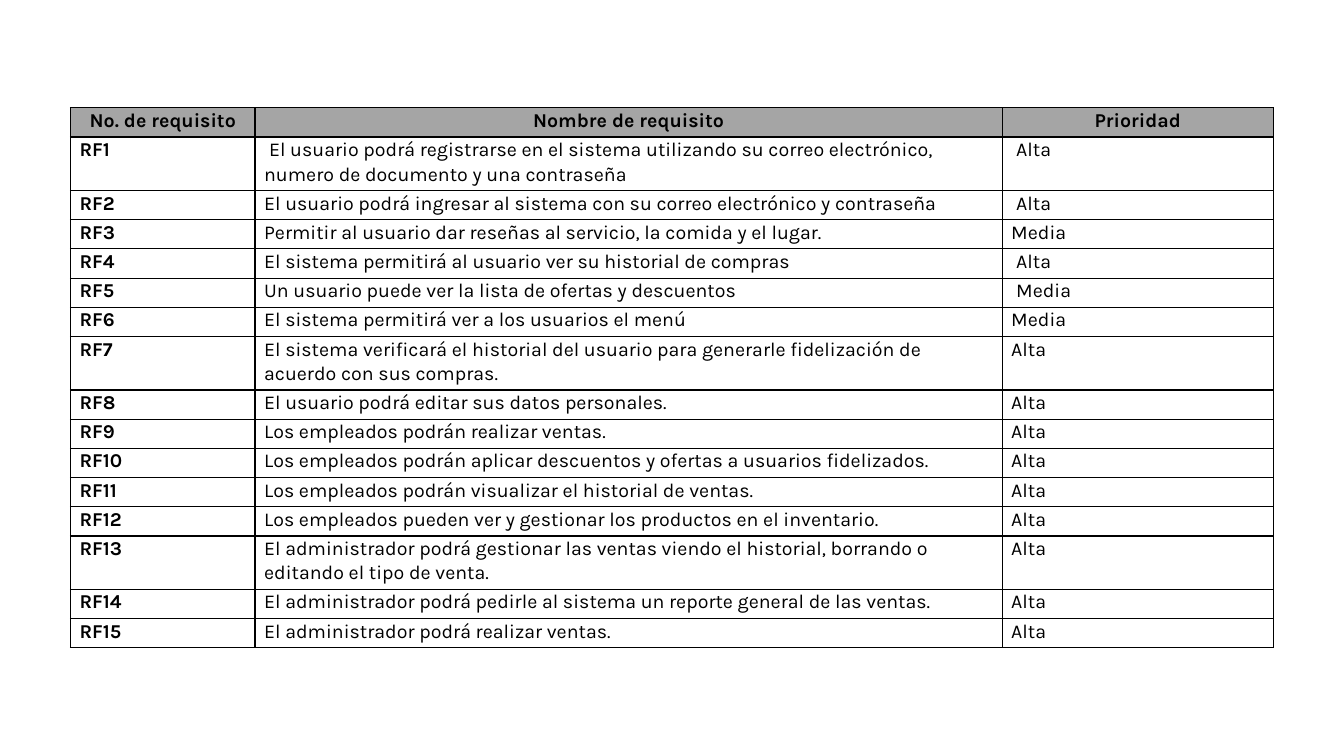
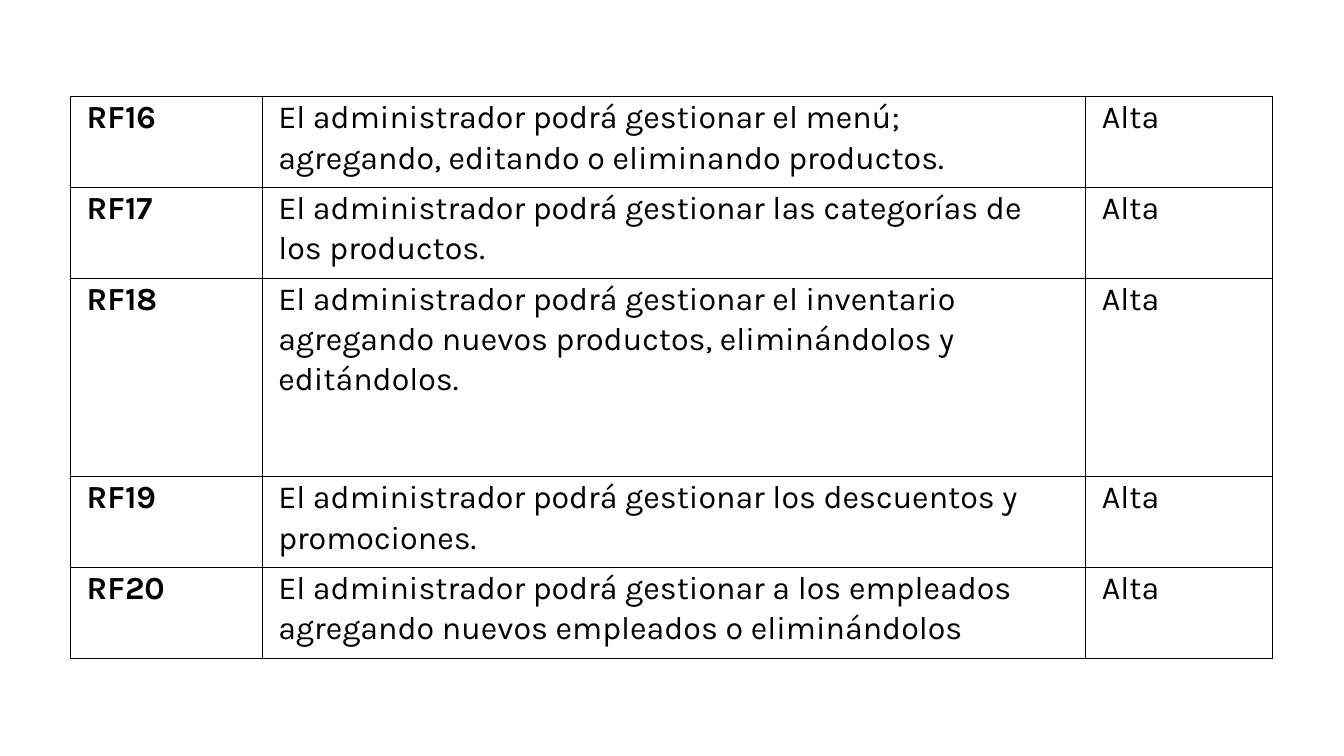
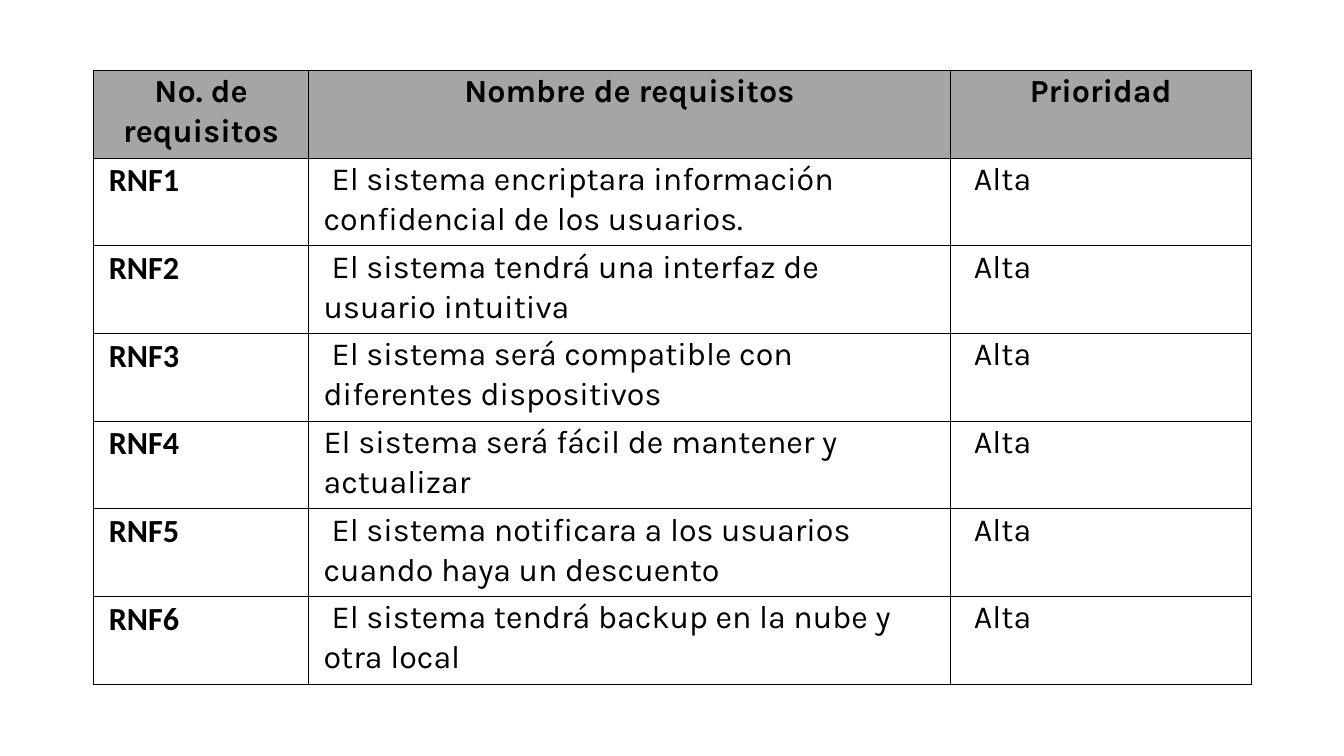
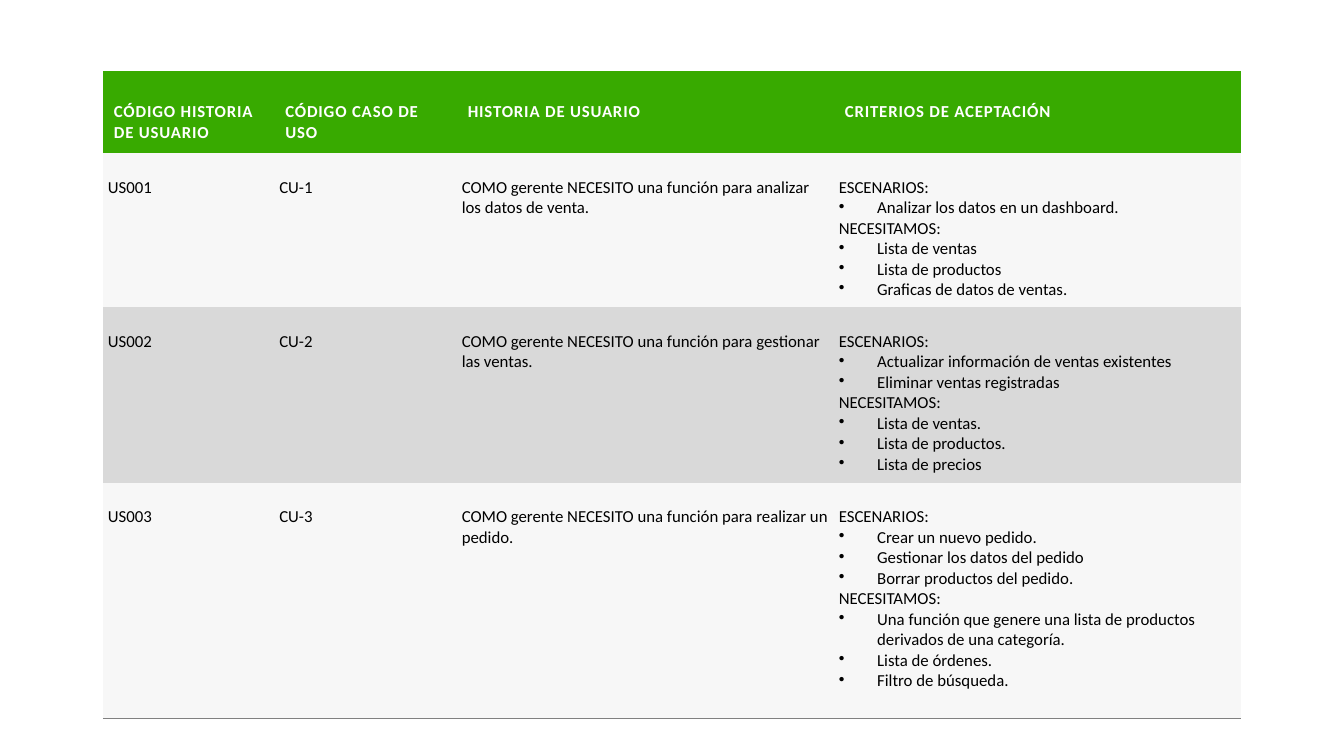
from pptx import Presentation
from pptx.dml.color import RGBColor
from pptx.enum import text
from pptx.oxml import parse_xml
from pptx.oxml import ns
from pptx.util import Inches, Pt

COLORS = {
    "black": "000000",
    "white": "FFFFFF",
    "header": "A5A5A5",
    "green": "38AA00",
    "light": "F7F7F7",
    "band": "D9D9D9",
    "rule": "808080",
}
BODY_FONT = "Karla"
STORY_FONT = "Calibri"
PLAIN_TABLE = "{2D5ABB26-0587-4C30-8999-92F81FD0307C}"
SPACE_WIDTH = 0.0035  # inches of first-line indent per point of text size

# Requirements: a leading space marks an indented first line
FUNCTIONAL = [
    (" El usuario podrá registrarse en el sistema utilizando su correo electrónico, "
     "numero de documento y una contraseña", " Alta"),
    ("El usuario podrá ingresar al sistema con su correo electrónico y contraseña", " Alta"),
    ("Permitir al usuario dar reseñas al servicio, la comida y el lugar.", "Media"),
    ("El sistema permitirá al usuario ver su historial de compras", " Alta"),
    ("Un usuario puede ver la lista de ofertas y descuentos", " Media"),
    ("El sistema permitirá ver a los usuarios el menú", "Media"),
    ("El sistema verificará el historial del usuario para generarle fidelización de "
     "acuerdo con sus compras.", "Alta"),
    ("El usuario podrá editar sus datos personales.", "Alta"),
    ("Los empleados podrán realizar ventas.", "Alta"),
    ("Los empleados podrán aplicar descuentos y ofertas a usuarios fidelizados.", "Alta"),
    ("Los empleados podrán visualizar el historial de ventas.", "Alta"),
    ("Los empleados pueden ver y gestionar los productos en el inventario.", "Alta"),
    ("El administrador podrá gestionar las ventas viendo el historial, borrando o "
     "editando el tipo de venta.", "Alta"),
    ("El administrador podrá pedirle al sistema un reporte general de las ventas.", "Alta"),
    ("El administrador podrá realizar ventas.", "Alta"),
]
ADMINISTRATION = [
    ("El administrador podrá gestionar el menú; agregando, editando o eliminando "
     "productos.", "Alta"),
    ("El administrador podrá gestionar las categorías de los productos.", "Alta"),
    ("El administrador podrá gestionar el inventario agregando nuevos productos, "
     "eliminándolos y editándolos.", "Alta"),
    ("El administrador podrá gestionar los descuentos y promociones.", "Alta"),
    ("El administrador podrá gestionar a los empleados agregando nuevos empleados o "
     "eliminándolos", "Alta"),
]
NON_FUNCTIONAL = [
    (" El sistema encriptara información confidencial de los usuarios.", " Alta"),
    (" El sistema tendrá una interfaz de usuario intuitiva", " Alta"),
    (" El sistema será compatible con diferentes dispositivos", " Alta"),
    ("El sistema será fácil de mantener y actualizar", " Alta"),
    (" El sistema notificara a los usuarios cuando haya un descuento", " Alta"),
    (" El sistema tendrá backup en la nube y otra local", " Alta"),
]

# User stories: need, scenarios, required items
STORY_HEADERS = ["CÓDIGO HISTORIA DE USUARIO", "CÓDIGO CASO DE USO",
                 "HISTORIA DE USUARIO", "CRITERIOS DE ACEPTACIÓN"]
STORIES = [
    ("analizar los datos de venta.",
     ["Analizar los datos en un dashboard."],
     ["Lista de ventas", "Lista de productos", "Graficas de datos de ventas."]),
    ("gestionar las ventas.",
     ["Actualizar información de ventas existentes", "Eliminar ventas registradas"],
     ["Lista de ventas.", "Lista de productos.", "Lista de precios"]),
    ("realizar un pedido.",
     ["Crear un nuevo pedido.", "Gestionar los datos del pedido",
      "Borrar productos del pedido."],
     ["Una función que genere una lista de productos derivados de una categoría.",
      "Lista de órdenes.", "Filtro de búsqueda."]),
]


def add_table(prs, left, top, cols, rows):
    """Add a blank slide with an unstyled table and return the table."""
    slide = prs.slides.add_slide(prs.slide_layouts[6])
    frame = slide.shapes.add_table(len(rows), len(cols), Inches(left), Inches(top),
                                   Inches(sum(cols)), Inches(sum(rows)))
    for style in frame.element.iter(ns.qn("a:tableStyleId")):
        style.text = PLAIN_TABLE
    table = frame.table
    table.first_row = table.horz_banding = False
    for col, width in zip(table.columns, cols):
        col.width = Inches(width)
    for row, height in zip(table.rows, rows):
        row.height = Inches(height)
    return table


def style_cell(cell, margins, fill=None, borders="", line="black"):
    """Set margins, the borders on the given sides (L, R, T, B) and the fill."""
    (cell.margin_left, cell.margin_top,
     cell.margin_right, cell.margin_bottom) = map(Inches, margins)
    tc_pr = cell._tc.get_or_add_tcPr()
    for side in borders:
        tc_pr.append(parse_xml(
            f'<a:ln{side} {ns.nsdecls("a")} w="12700"><a:solidFill>'
            f'<a:srgbClr val="{COLORS[line]}"/></a:solidFill></a:ln{side}>'))
    if fill:
        cell.fill.solid()
        cell.fill.fore_color.rgb = RGBColor.from_string(COLORS[fill])
    else:
        cell.fill.background()


def style_paragraph(p, size, font, bold=False, color="black"):
    p.font.size = Pt(size)
    p.font.name = font
    p.font.bold = bold
    p.font.color.rgb = RGBColor.from_string(COLORS[color])


def add_bullet(p, indent=0.38):
    p_pr = p._p.get_or_add_pPr()
    p_pr.set("marL", str(Inches(indent)))
    p_pr.set("indent", str(-Inches(indent)))
    p_pr.insert_element_before(
        parse_xml(f'<a:buChar {ns.nsdecls("a")} char="•"/>'),
        "a:tabLst", "a:defRPr", "a:extLst")


def requirement_slide(prs, left, top, cols, rows, prefix, items, size, margin,
                      first=1, headers=None, code_font=BODY_FONT):
    """A bordered table of numbered requirements, with an optional grey header."""
    lines = [headers] if headers else []
    lines += [(f"{prefix}{n}", *item) for n, item in enumerate(items, first)]
    table = add_table(prs, left, top, cols, rows)
    for i, line in enumerate(lines):
        header = line is headers
        for j, words in enumerate(line):
            cell = table.cell(i, j)
            style_cell(cell, (margin, 0, margin, 0), "header" if header else None, "LRTB")
            p = cell.text_frame.paragraphs[0]
            p.text = words.strip()
            p.line_spacing = 1.07
            p.space_after = Pt(8)
            if header:
                p.alignment = text.PP_ALIGN.CENTER
            if words.startswith(" "):
                p._p.get_or_add_pPr().set("indent", str(Inches(SPACE_WIDTH * size)))
            font = code_font if j == 0 and not header else BODY_FONT
            style_paragraph(p, size, font, bold=header or j == 0)


def story_slide(prs):
    """The user stories, with banded rows and bulleted acceptance criteria."""
    table = add_table(prs, 1.02, 0.7, [1.7, 1.81, 3.74, 4.04], [0.82, 1.53, 1.74, 2.34])
    for j, words in enumerate(STORY_HEADERS):
        cell = table.cell(0, j)
        style_cell(cell, (0.11, 0.31, 0.11, 0.1), "green")
        p = cell.text_frame.paragraphs[0]
        p.text = words
        style_paragraph(p, 12, STORY_FONT, bold=True, color="white")
        p._p.pPr.find(ns.qn("a:defRPr")).set("spc", "60")

    for i, (need, scenarios, items) in enumerate(STORIES, 1):
        criteria = ["ESCENARIOS:", *scenarios, "NECESITAMOS:", *items]
        columns = [[f"US{i:03}"], [f"CU-{i}"],
                   [f"COMO gerente NECESITO una función para {need}"], criteria]
        for j, lines in enumerate(columns):
            cell = table.cell(i, j)
            style_cell(cell, (0.05, 0.24, 0.05, 0.07), "light" if i % 2 else "band",
                       "B" if i == len(STORIES) else "", "rule")
            tf = cell.text_frame
            tf.text = "\n".join(lines)
            for p in tf.paragraphs:
                style_paragraph(p, 12, STORY_FONT)
                if lines is criteria and not p.text.endswith(":"):
                    add_bullet(p)


def main():
    prs = Presentation()
    prs.slide_width, prs.slide_height = Inches(13.33), Inches(7.5)

    # Functional requirements: rows of two lines are taller
    two_lines = (1, 7, 13)
    rows = [0.53 if i in two_lines else 0.29 for i in range(len(FUNCTIONAL) + 1)]
    requirement_slide(prs, 0.7, 1.07, [1.83, 7.41, 2.69], rows, "RF", FUNCTIONAL, 14, 0.09,
                      headers=["No. de requisito", "Nombre de requisito", "Prioridad"])
    requirement_slide(prs, 0.7, 0.96, [1.9, 8.17, 1.85], [0.9, 0.9, 1.97, 0.9, 0.9],
                      "RF", ADMINISTRATION, 23, 0.16, first=len(FUNCTIONAL) + 1)

    # Non-functional requirements
    requirement_slide(prs, 0.93, 0.7, [2.13, 6.37, 2.98], [0.87] * 7,
                      "RNF", NON_FUNCTIONAL, 23, 0.15, code_font=STORY_FONT,
                      headers=["No. de requisitos", "Nombre de requisitos", "Prioridad"])

    # User stories
    story_slide(prs)
    prs.save("out.pptx")


if __name__ == "__main__":
    main()
